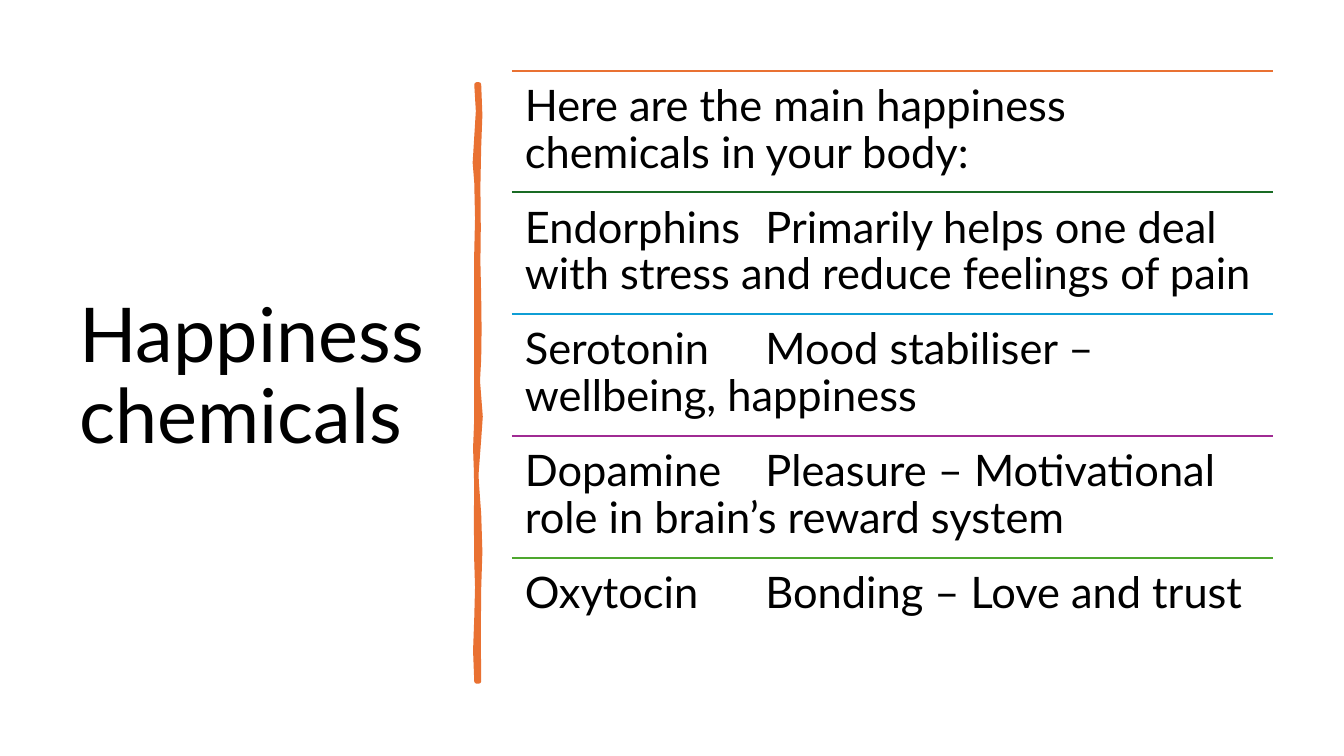
"""Builds the slide on happiness chemicals."""
import dataclasses

import lxml.etree
import pptx
import pptx.dml.color
import pptx.enum.shapes
import pptx.enum.text
import pptx.oxml.ns
import pptx.util

Cm = pptx.util.Cm
Pt = pptx.util.Pt


@dataclasses.dataclass(frozen=True)
class Theme:
    """Keeps the colours, font and type sizes together."""
    font: str = "Lato"
    text: str = "000000"
    accent: str = "E97132"
    rules: tuple = ("E97132", "196B24", "0F9ED5", "A02B93", "4EA72E")
    title_size: int = 54
    body_size: int = 31
    rule_width: float = 1.5
    brush_width: float = 3.25


CHEMICALS = (
    "Here are the main happiness chemicals in your body:",
    "Endorphins\tPrimarily helps one deal with stress and reduce feelings of pain",
    "Serotonin\tMood stabiliser – wellbeing, happiness",
    "Dopamine\tPleasure – Motivational role in brain’s reward system",
    "Oxytocin\tBonding – Love and trust",
)
BRUSH_RIGHT = (
    (12.07, 2.13), (12.1, 2.9), (12.07, 3.7), (12.05, 4.7), (12.06, 5.74), (12.05, 6.6),
    (12.07, 7.47), (12.08, 8.3), (12.07, 9.04), (12.04, 9.6), (12.11, 10.5), (12.07, 11.07),
    (12, 12), (12.07, 12.95), (12.1, 13.9), (12.07, 14.83), (12.06, 16), (12.07, 17.17),
)
BRUSH_LEFT = (
    (12.01, 17.17), (11.98, 16.4), (12.01, 15.57), (12.03, 14.8), (12.01, 14.15), (12, 13.1),
    (12.01, 12.12), (11.98, 11.3), (12.01, 10.54), (12.01, 8.51), (12.01, 6.35), (12.03, 5.5),
    (12.01, 4.6), (11.97, 4.1), (12.05, 2.8), (12.01, 2.13),
)
LIST_LEFT, LIST_TOP, LIST_WIDTH, ROW_HEIGHT = 12.9, 1.78, 19.18, 3.07
MEANING_TAB = 6.06


def add_element(parent, tag, **attributes):
    """Appends a drawing element to its parent."""
    return lxml.etree.SubElement(parent, pptx.oxml.ns.qn(tag), attributes)


def apply_format(target, values):
    """Sets each attribute named in a dict of format values."""
    for name, value in values.items():
        setattr(target, name, value)


class SlideBuilder:
    """Draws styled elements on the current slide."""

    def __init__(self, page, theme):
        """Stores the slide and its style."""
        self.page = page
        self.theme = theme

    def text(self, words, left, top, width, height, size, anchor, inset=None, tab=None):
        """Adds a wrapped text box with one paragraph."""
        box = self.page.shapes.add_textbox(Cm(left), Cm(top), Cm(width), Cm(height))
        frame = box.text_frame
        apply_format(frame, {"word_wrap": True, "vertical_anchor": anchor})
        if inset is not None:
            sides = ("margin_left", "margin_top", "margin_right", "margin_bottom")
            apply_format(frame, dict.fromkeys(sides, Cm(inset)))
        para = frame.paragraphs[0]
        para.line_spacing = 0.9
        if tab is not None:
            stops = add_element(para._p.get_or_add_pPr(), "a:tabLst")
            add_element(stops, "a:tab", pos=str(int(Cm(tab))), algn="l")
        span = para.add_run()
        span.text = words
        apply_format(span.font, {"name": self.theme.font, "size": Pt(size)})
        span.font.color.rgb = pptx.dml.color.RGBColor.from_string(self.theme.text)

    def rule(self, left, top, width, colour):
        """Adds a horizontal rule."""
        straight = pptx.enum.shapes.MSO_CONNECTOR.STRAIGHT
        line = self.page.shapes.add_connector(
            straight, Cm(left), Cm(top), Cm(left + width), Cm(top))
        line.line.width = Pt(self.theme.rule_width)
        line.line.color.rgb = pptx.dml.color.RGBColor.from_string(colour)
        add_element(line._element.spPr, "a:effectLst")

    def brush(self, points):
        """Adds a closed brush stroke with rounded joins."""
        corners = [(Cm(x), Cm(y)) for x, y in points]
        outline = self.page.shapes.build_freeform(*corners[0])
        outline.add_line_segments(corners[1:], close=True)
        stroke = outline.convert_to_shape()
        colour = pptx.dml.color.RGBColor.from_string(self.theme.accent)
        stroke.shadow.inherit = False
        stroke.fill.solid()
        stroke.fill.fore_color.rgb = colour
        stroke.line.color.rgb = colour
        stroke.line.width = Pt(self.theme.brush_width)
        add_element(stroke.line._get_or_add_ln(), "a:round")


def main():
    """Builds and saves the deck."""
    deck = pptx.Presentation()
    apply_format(deck, {"slide_width": Cm(33.87), "slide_height": Cm(19.05)})
    theme = Theme()
    slide = SlideBuilder(deck.slides.add_slide(deck.slide_layouts[6]), theme)
    anchors = pptx.enum.text.MSO_ANCHOR
    slide.text("Happiness chemicals", 1.75, 1.78, 9.5, 15.52, theme.title_size, anchors.MIDDLE)
    slide.brush(BRUSH_RIGHT + BRUSH_LEFT)
    for row, (words, colour) in enumerate(zip(CHEMICALS, theme.rules)):
        top = LIST_TOP + row * ROW_HEIGHT
        slide.rule(LIST_LEFT, top, LIST_WIDTH, colour)
        slide.text(words, LIST_LEFT, top, LIST_WIDTH, ROW_HEIGHT, theme.body_size,
                   anchors.TOP, inset=0.33, tab=MEANING_TAB)
    deck.save("out.pptx")


if __name__ == "__main__":
    main()
